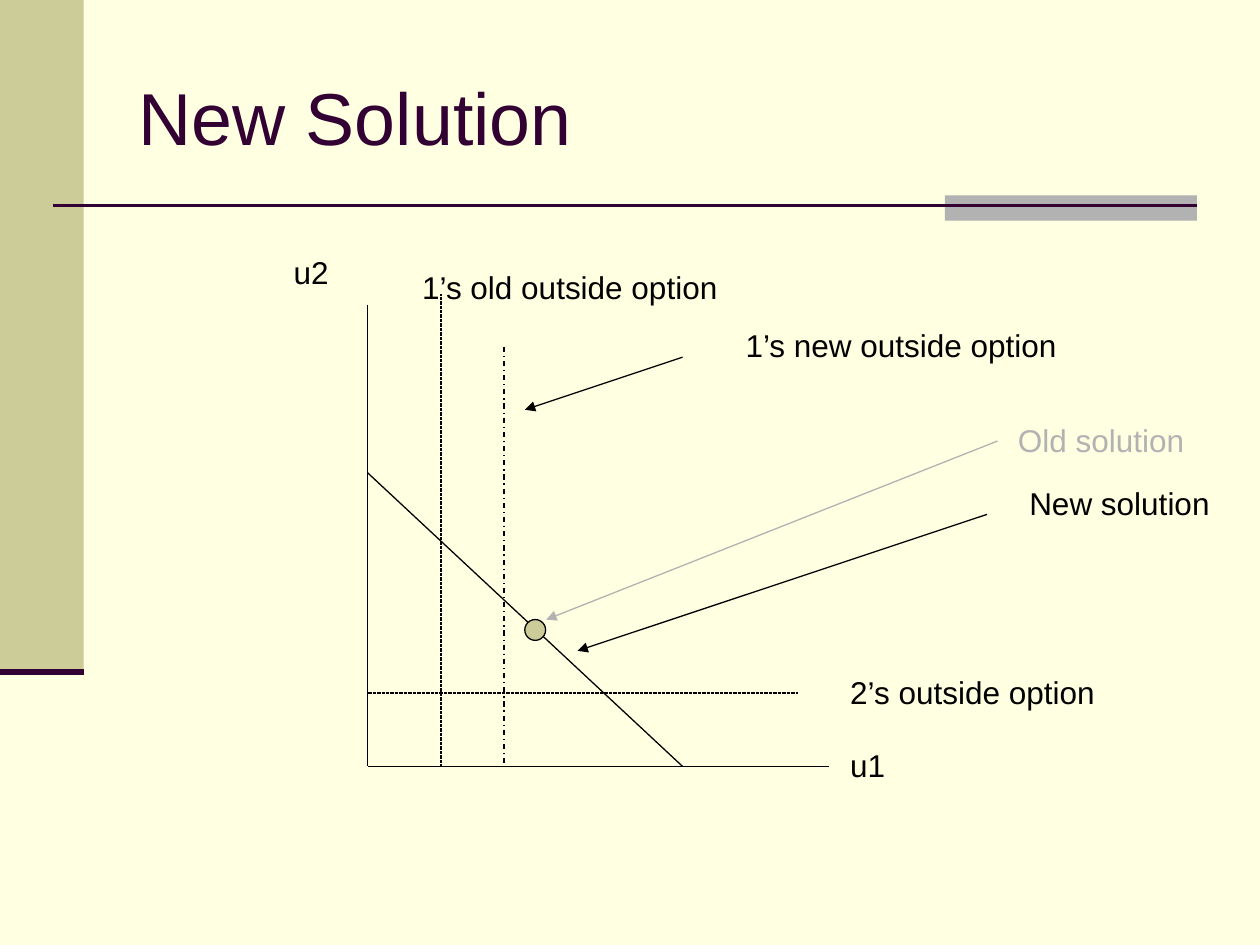
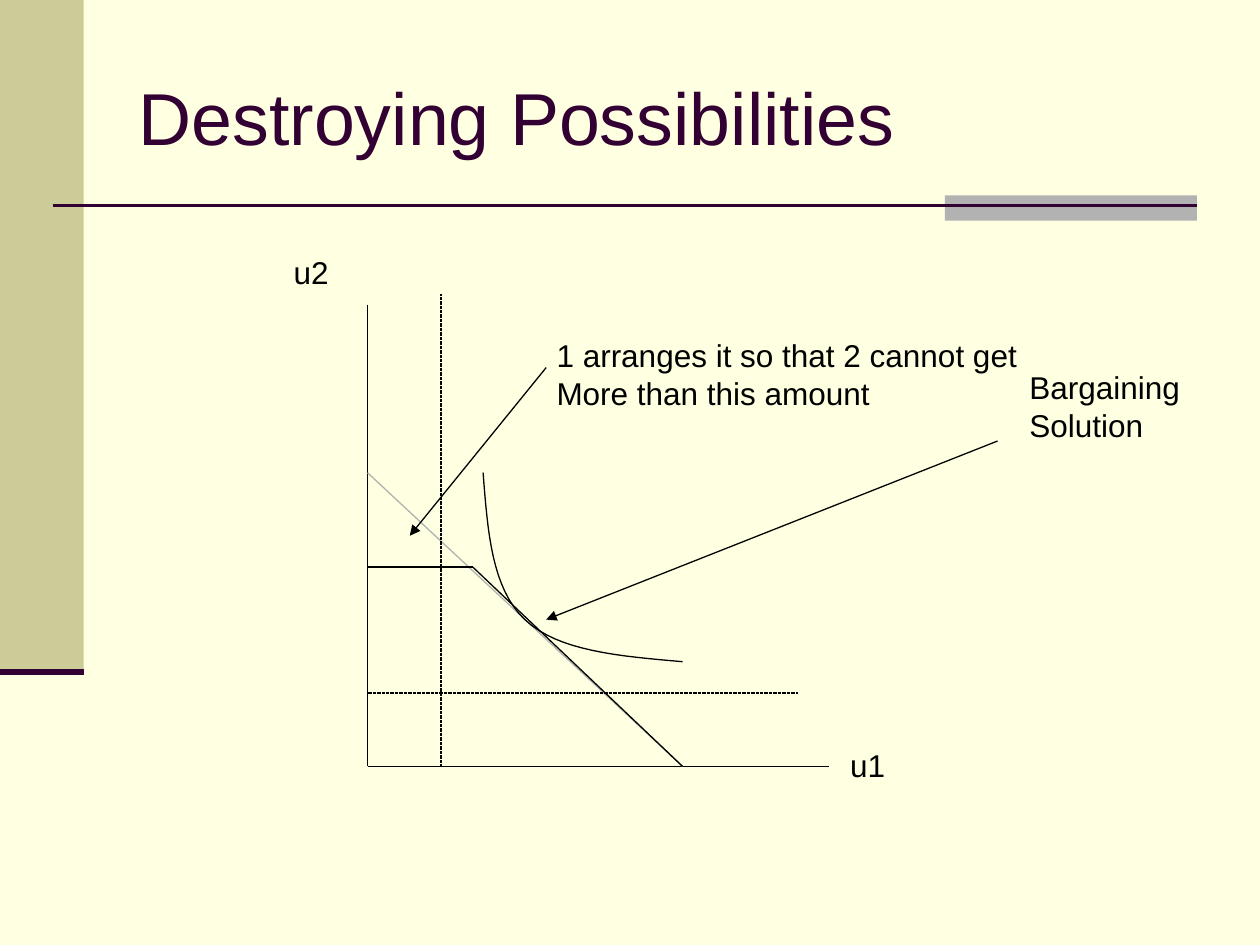
"""Build two slides on bargaining solutions with changed outside options."""
from lxml.etree import SubElement
from pptx import Presentation
from pptx.dml.color import RGBColor
from pptx.enum.dml import MSO_LINE
from pptx.enum.shapes import MSO_CONNECTOR, MSO_SHAPE
from pptx.enum.text import MSO_ANCHOR, MSO_AUTO_SIZE, PP_ALIGN
from pptx.oxml.ns import qn
from pptx.util import Cm, Pt

CREAM, OLIVE, GREY, PLUM, BLACK = "FFFFE1", "CCCC99", "B2B2B2", "330033", "000000"
ORIGIN = (7.41, 15.45)
FRONTIER_TOP, FRONTIER_END = (7.41, 9.53), (13.76, 15.45)
OLD_SOLUTION_ARROW = ((20.11, 8.89), (11.01, 12.49))
CURVE_STEPS = 16


def color(hex_string):
    return RGBColor.from_string(hex_string)


def bezier(start, first_control, second_control, end):
    points = []
    for step in range(CURVE_STEPS + 1):
        t = step / CURVE_STEPS
        weights = ((1 - t) ** 3, 3 * t * (1 - t) ** 2, 3 * t ** 2 * (1 - t), t ** 3)
        corners = (start, first_control, second_control, end)
        points.append(tuple(sum(w * corner[axis] for w, corner in zip(weights, corners))
                            for axis in (0, 1)))
    return points


class Deck:
    def __init__(self):
        self.presentation = Presentation()
        self.presentation.slide_width = Cm(25.4)
        self.presentation.slide_height = Cm(19.05)
        fill = self.presentation.slide_master.background.fill
        fill.solid()
        fill.fore_color.rgb = color(CREAM)
        self.slide = None

    def format_text(self, text_frame, size, text_color, **frame_format):
        for name, value in frame_format.items():
            setattr(text_frame, name, value)
        for paragraph in text_frame.paragraphs:
            paragraph.alignment = PP_ALIGN.LEFT
            paragraph.font.color.rgb = color(text_color)
            for name, value in {"name": "Arial", "size": Pt(size)}.items():
                setattr(paragraph.font, name, value)

    def add_slide(self, title):
        self.slide = self.presentation.slides.add_slide(self.presentation.slide_layouts[5])
        self.shape(MSO_SHAPE.RECTANGLE, 0, 0, 1.69, 13.55, OLIVE)
        self.shape(MSO_SHAPE.RECTANGLE, 19.05, 3.94, 5.08, 0.51, GREY)
        self.line((1.06, 4.14), (24.13, 4.14), PLUM, 1.5)
        self.line((0, 13.55), (1.69, 13.55), PLUM, 3.5)
        placeholder = self.slide.shapes.title
        box = {"left": 2.54, "top": 0.76, "width": 21.59, "height": 3.18}
        for name, value in box.items():
            setattr(placeholder, name, Cm(value))
        placeholder.text_frame.text = title
        self.format_text(placeholder.text_frame, 42, PLUM, word_wrap=True,
                         vertical_anchor=MSO_ANCHOR.MIDDLE, auto_size=MSO_AUTO_SIZE.NONE)

    def shape(self, kind, left, top, width, height, fill_color, line_color=None):
        shape = self.slide.shapes.add_shape(kind, Cm(left), Cm(top), Cm(width), Cm(height))
        shape.shadow.inherit = False
        shape.fill.solid()
        shape.fill.fore_color.rgb = color(fill_color)
        if line_color:
            self.stroke(shape.line, line_color, 0.75)
        else:
            shape.line.fill.background()

    def stroke(self, line, line_color, width):
        line.color.rgb = color(line_color)
        line.width = Pt(width)

    def line(self, start, end, line_color=BLACK, width=0.75, dash=None, arrow=False, dotted=False):
        connector = self.slide.shapes.add_connector(
            MSO_CONNECTOR.STRAIGHT, *(Cm(value) for value in start + end))
        self.stroke(connector.line, line_color, width)
        if dash:
            connector.line.dash_style = dash
        properties = connector._element.spPr
        outline = properties.find(qn("a:ln"))
        if dotted:
            SubElement(SubElement(outline, qn("a:custDash")), qn("a:ds"), d="50000", sp="50000")
        if arrow:
            SubElement(outline, qn("a:tailEnd"), type="triangle")
        SubElement(properties, qn("a:effectLst"))

    def curve(self, points):
        start, *others = [(Cm(x), Cm(y)) for x, y in points]
        builder = self.slide.shapes.build_freeform(*start)
        builder.add_line_segments(others, close=False)
        shape = builder.convert_to_shape()
        shape.shadow.inherit = False
        shape.fill.background()
        self.stroke(shape.line, BLACK, 0.75)

    def label(self, text, left, top, width, text_color=BLACK):
        height = 1.02 + 0.76 * text.count("\n")
        text_box = self.slide.shapes.add_textbox(Cm(left), Cm(top), Cm(width), Cm(height))
        text_box.text_frame.text = text
        self.format_text(text_box.text_frame, 18, text_color, word_wrap=False,
                         auto_size=MSO_AUTO_SIZE.SHAPE_TO_FIT_TEXT)

    def utility_diagram(self, frontier_color):
        self.line((ORIGIN[0], 6.14), ORIGIN)
        self.line(ORIGIN, (16.72, ORIGIN[1]))
        self.line(FRONTIER_TOP, FRONTIER_END, frontier_color)
        self.label("u1", 16.89, 14.91, 1.22)
        self.label("u2", 5.67, 4.98, 1.22)
        self.line((8.89, 5.93), (8.89, ORIGIN[1]), dotted=True)
        self.line((ORIGIN[0], 13.97), (16.09, 13.97), dotted=True)


def main():
    deck = Deck()

    deck.add_slide("New Solution")
    deck.utility_diagram(BLACK)
    deck.label("2’s outside option", 16.89, 13.44, 5.44)
    deck.label("1’s old outside option", 8.26, 5.28, 6.48)
    deck.line(*OLD_SOLUTION_ARROW, GREY, arrow=True)
    deck.line((10.16, 6.99), (10.16, ORIGIN[1]), dash=MSO_LINE.DASH_DOT)
    deck.line((13.76, 7.2), (10.58, 8.26), arrow=True)
    deck.label("1’s new outside option", 14.78, 6.45, 6.78)
    deck.shape(MSO_SHAPE.OVAL, 10.58, 12.49, 0.42, 0.42, OLIVE, BLACK)
    deck.label("Old solution", 20.27, 8.36, 3.86, GREY)
    deck.line((19.9, 10.37), (11.64, 13.12), arrow=True)
    deck.label("New solution", 20.5, 9.63, 4.14)

    deck.add_slide("Destroying Possibilities")
    deck.utility_diagram(GREY)
    tangent = (10.58, 12.49)
    upper = bezier((9.74, 9.53), (9.83, 10.69), (9.91, 11.86), tangent)
    lower = bezier(tangent, (11.25, 13.13), (12.5, 13.23), (13.76, 13.34))
    deck.curve(upper + lower[1:])
    deck.line(*OLD_SOLUTION_ARROW, arrow=True)
    deck.label("Bargaining\nSolution", 20.5, 7.29, 3.6)
    kink = (9.53, 11.43)
    deck.line(FRONTIER_END, kink)
    deck.line(kink, (ORIGIN[0], kink[1]))
    deck.line((11.01, 7.41), (8.26, 10.8), arrow=True)
    deck.label("1 arranges it so that 2 cannot get\nMore than this amount", 10.97, 6.65, 9.9)

    deck.presentation.save("out.pptx")


if __name__ == "__main__":
    main()
